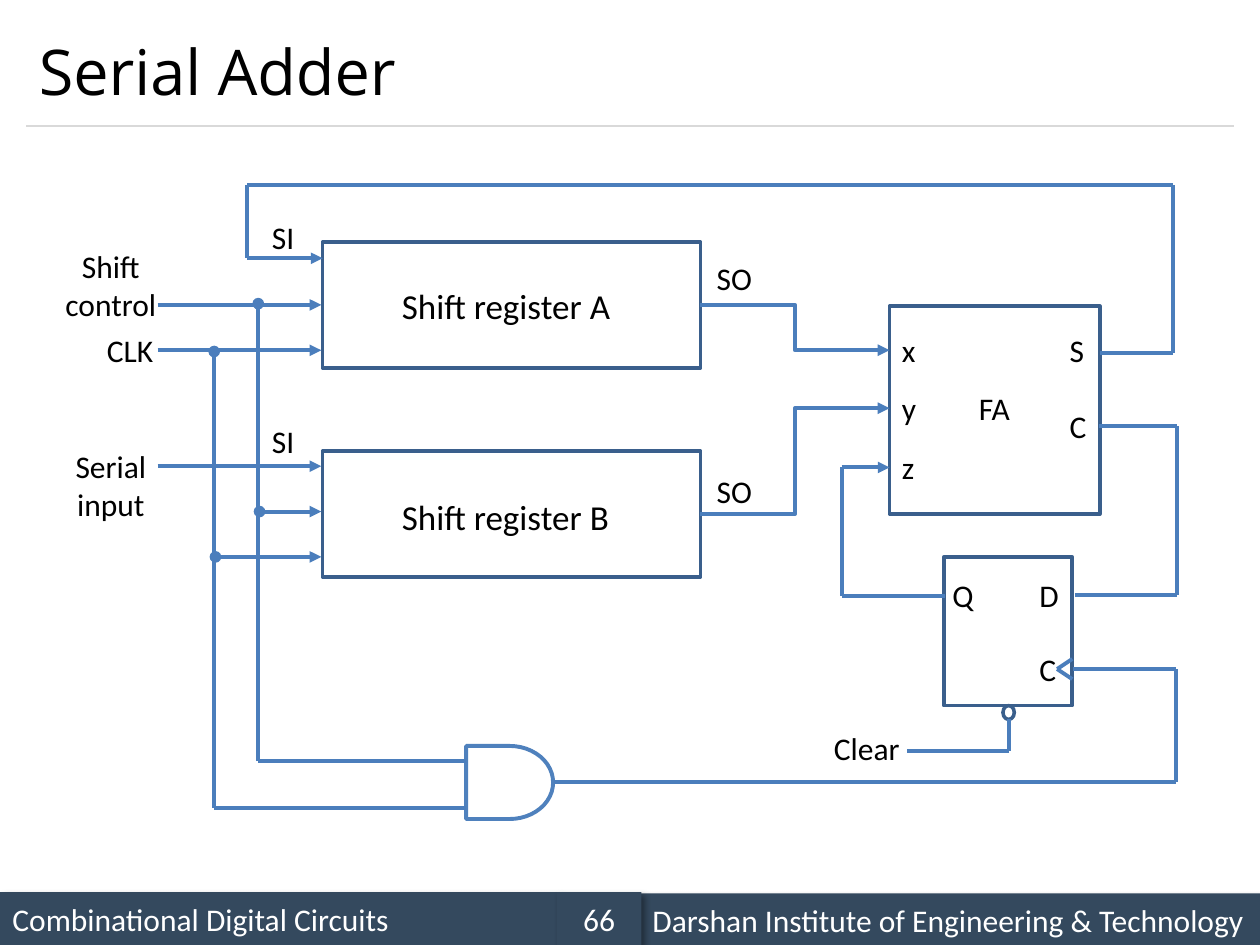
import itertools
import pptx
import pptx.util
import pptx.dml.color
import pptx.enum.shapes
import pptx.enum.text
import pptx.oxml.ns
from lxml import etree

Inches = pptx.util.Inches
Pt = pptx.util.Pt
RGBColor = pptx.dml.color.RGBColor
Shape = pptx.enum.shapes.MSO_SHAPE
Connector = pptx.enum.shapes.MSO_CONNECTOR
Align = pptx.enum.text.PP_ALIGN
Anchor = pptx.enum.text.MSO_ANCHOR
qn = pptx.oxml.ns.qn

BLACK = RGBColor(0x00, 0x00, 0x00)
WHITE = RGBColor(0xFF, 0xFF, 0xFF)
SLATE = RGBColor(0x34, 0x49, 0x5E)
RULE = RGBColor(0xD9, 0xD9, 0xD9)
WIRE = RGBColor(0x4B, 0x7E, 0xBC)
OUTLINE = RGBColor(0x3A, 0x5F, 0x8C)
GATE = RGBColor(0x4F, 0x81, 0xBD)

FOOTER = [
    ("Combinational Digital Circuits", (0, 7.08, 4.42, 0.42), Align.LEFT),
    ("Darshan Institute of Engineering & Technology", (5.08, 7.09, 4.92, 0.42), Align.LEFT),
    ("66", (4.42, 7.08, 0.67, 0.42), Align.CENTER),
]
BLOCKS = [
    (Shape.RECTANGLE, (2.56, 1.92, 3, 1), OUTLINE, 2),
    (Shape.RECTANGLE, (2.56, 3.58, 3, 1), OUTLINE, 2),
    (Shape.FLOWCHART_DELAY, (3.7, 5.92, 0.69, 0.58), GATE, 2.25),
    (Shape.RECTANGLE, (7.06, 2.43, 1.67, 1.65), OUTLINE, 2),
    (Shape.RECTANGLE, (7.49, 4.42, 1.02, 1.18), OUTLINE, 2),
    (Shape.OVAL, (7.96, 5.6, 0.09, 0.11), OUTLINE, 2),
]
REGISTER_NAMES = [("Shift register A", 2.21), ("Shift register B", 3.88)]
LABELS = [
    ("x", 7.06, 2.58, 0.33), ("y", 7.06, 3.04, 0.33), ("z", 7.06, 3.51, 0.33),
    ("S", 8.39, 2.58, 0.33), ("C", 8.39, 3.18, 0.33), ("FA", 7.67, 3.04, 0.48),
    ("Q", 7.46, 4.52, 0.33), ("D", 8.15, 4.52, 0.33), ("C", 8.15, 5.11, 0.33),
    ("SO", 5.59, 2.01, 0.54), ("SO", 5.59, 3.7, 0.54),
    ("SI", 2.06, 1.68, 0.54), ("SI", 2.06, 3.3, 0.54),
    ("CLK", 0.75, 2.58, 0.6), ("Clear", 6.52, 5.74, 0.83),
]
INPUT_NAMES = [(("Shift", "control"), 1.91), (("Serial", "input"), 3.5)]

ELBOWS = [((5.56, 2.42), (7.06, 2.78)), ((5.56, 4.08), (7.06, 3.24))]
WIRES = [
    ([(8.51, 5.23), (8.39, 5.31), (8.51, 5.39)], None, None),
    ([(7.5, 4.73), (6.68, 4.73), (6.68, 3.71), (7.06, 3.71)], None, "triangle"),
    ([(8.53, 4.72), (9.34, 4.72), (9.34, 3.38), (8.72, 3.38)], None, None),
    ([(8.73, 2.8), (9.31, 2.8), (9.31, 1.47), (1.96, 1.47), (1.96, 2.05), (2.56, 2.05)],
     None, "triangle"),
    ([(8.52, 5.31), (9.33, 5.31), (9.33, 6.21), (4.4, 6.21)], None, None),
    ([(8.01, 5.71), (8.01, 5.96), (7.2, 5.96)], None, None),
    ([(1.25, 2.42), (2.55, 2.42)], None, "triangle"),
    ([(1.25, 2.78), (2.55, 2.78)], None, "triangle"),
    ([(1.25, 3.7), (2.55, 3.7)], None, "triangle"),
    ([(2.06, 4.06), (2.55, 4.06)], "oval", "triangle"),
    ([(1.71, 4.42), (2.55, 4.42)], "oval", "triangle"),
    ([(3.7, 6.04), (2.05, 6.04), (2.05, 2.41)], None, "oval"),
    ([(3.7, 6.41), (1.7, 6.41), (1.7, 2.79)], None, "oval"),
]


def write(shape, lines, size, color=BLACK, font="Calibri", align=Align.LEFT, anchor=Anchor.TOP):
    frame = shape.text_frame
    frame.word_wrap = True
    frame.vertical_anchor = anchor
    for index, line in enumerate(lines):
        para = frame.add_paragraph() if index else frame.paragraphs[0]
        para.alignment = align
        span = para.add_run()
        span.text = line
        span.font.size = Pt(size)
        span.font.name = font
        span.font.color.rgb = color


def add_label(page, lines, area, size=18, **style):
    write(page.shapes.add_textbox(*map(Inches, area)), lines, size, **style)


def add_block(page, preset, area, color, width):
    block = page.shapes.add_shape(preset, *map(Inches, area))
    block.shadow.inherit = False
    block.fill.background()
    block.line.color.rgb = color
    block.line.width = Pt(width)


def add_footer(page, text, area, align):
    bar = page.shapes.add_shape(Shape.RECTANGLE, *map(Inches, area))
    bar.shadow.inherit = False
    bar.fill.solid()
    bar.fill.fore_color.rgb = SLATE
    bar.line.fill.background()
    effects = bar.element.spPr.find(qn("a:effectLst"))
    shadow = etree.SubElement(effects, qn("a:outerShdw"), blurRad=str(Pt(4)),
                              dist=str(Pt(3)), dir="2700000", algn="tl", rotWithShape="0")
    tint = etree.SubElement(shadow, qn("a:srgbClr"), val="000000")
    etree.SubElement(tint, qn("a:alpha"), val="40000")
    write(bar, [text], 18, WHITE, align=align, anchor=Anchor.MIDDLE)


def add_line(page, start, end, color=WIRE, width=2.25, kind=Connector.STRAIGHT,
             head=None, tail=None):
    line = page.shapes.add_connector(kind, *map(Inches, start + end))
    line.line.color.rgb = color
    line.line.width = Pt(width)
    properties = line.element.spPr
    for tag, marker in (("a:headEnd", head), ("a:tailEnd", tail)):
        if marker:
            etree.SubElement(properties.find(qn("a:ln")), qn(tag), type=marker)
    etree.SubElement(properties, qn("a:effectLst"))


def add_wire(page, points, head, tail):
    for start, end in itertools.pairwise(points):
        add_line(page, start, end,
                 head=head if start == points[0] else None,
                 tail=tail if end == points[-1] else None)


def main():
    deck = pptx.Presentation()
    deck.slide_width = Inches(10)
    deck.slide_height = Inches(7.5)
    page = deck.slides.add_slide(deck.slide_layouts[6])

    for text, area, align in FOOTER:
        add_footer(page, text, area, align)
    add_line(page, (0.21, 1), (9.79, 1), RULE, 0.75)
    add_label(page, ["Serial Adder"], (0.21, 0.12, 9.58, 0.88), 36,
              font="Open Sans", anchor=Anchor.MIDDLE)

    for block in BLOCKS:
        add_block(page, *block)
    for start, end in ELBOWS:
        add_line(page, start, end, kind=Connector.ELBOW, tail="triangle")
    for wire in WIRES:
        add_wire(page, *wire)

    for text, top in REGISTER_NAMES:
        add_label(page, [text], (3.09, top, 1.92, 0.44), 20)
    for text, left, top, width in LABELS:
        add_label(page, [text], (left, top, width, 0.4))
    for lines, top in INPUT_NAMES:
        add_label(page, lines, (0.41, top, 0.94, 0.71), align=Align.CENTER)

    deck.save("out.pptx")


if __name__ == "__main__":
    main()
